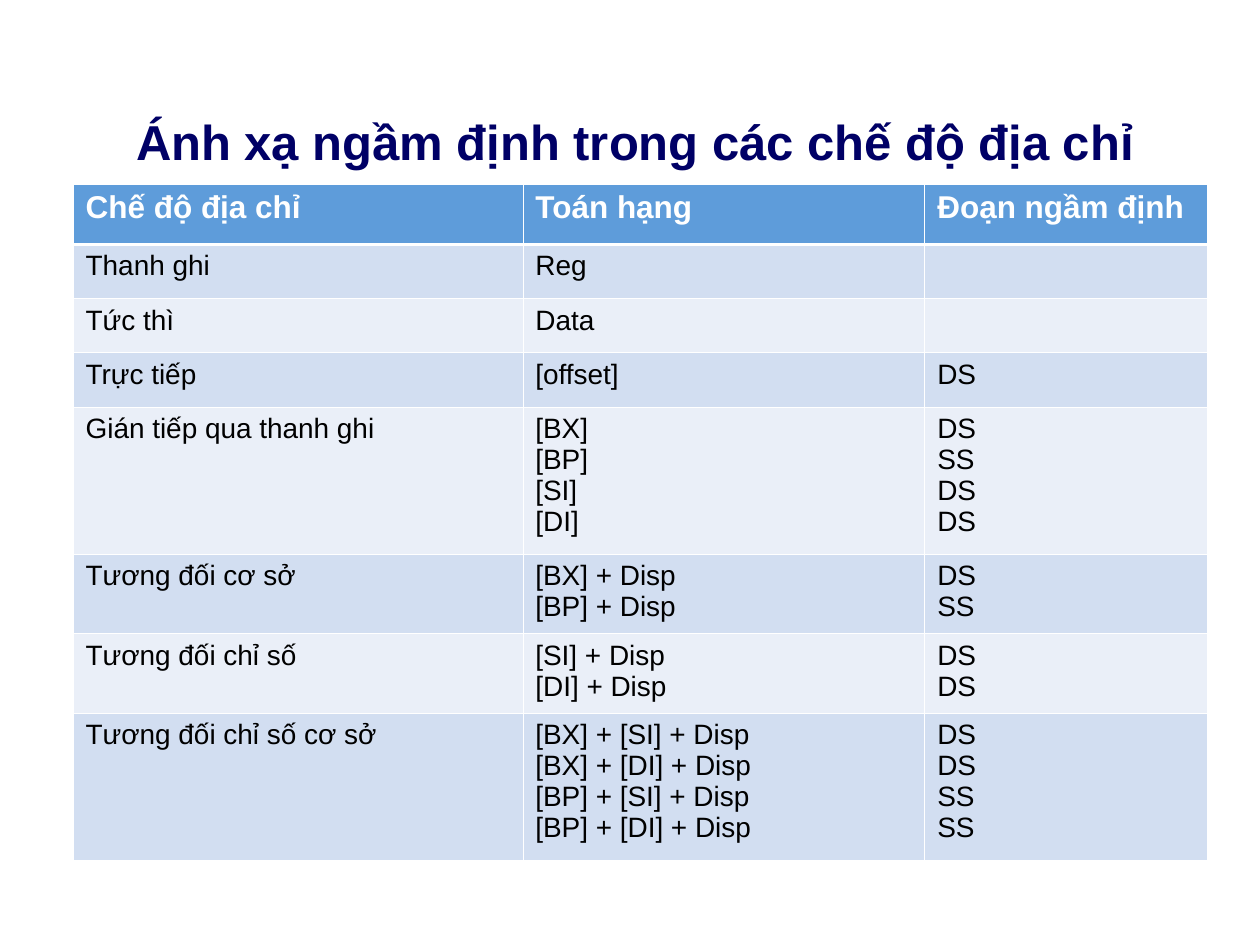
"""Build a slide with a table of default segments by addressing mode."""
import pptx
import pptx.dml.color
import pptx.enum.text
import pptx.oxml.ns
import pptx.util
from lxml import etree

Inches = pptx.util.Inches
COLORS = {
    "title": "000066", "head": "5E9CDA", "odd": "D2DEF1",
    "even": "EAEFF8", "white": "FFFFFF", "black": "000000",
}
COLS = [3.57, 3.19, 2.24]
ROWS = [
    (0.48, "Chế độ địa chỉ", "Toán hạng", "Đoạn ngầm định"),
    (0.43, "Thanh ghi", "Reg", ""),
    (0.43, "Tức thì", "Data", ""),
    (0.43, "Trực tiếp", "[offset]", "DS"),
    (1.17, "Gián tiếp qua thanh ghi", "[BX]\n[BP]\n[SI]\n[DI]", "DS\nSS\nDS\nDS"),
    (0.63, "Tương đối cơ sở", "[BX] + Disp\n[BP] + Disp", "DS\vSS"),
    (0.63, "Tương đối chỉ số", "[SI] + Disp\n[DI] + Disp", "DS\vDS"),
    (1.17, "Tương đối chỉ số cơ sở",
     "[BX] + [SI] + Disp\n[BX] + [DI] + Disp\n"
     "[BP] + [SI] + Disp\n[BP] + [DI] + Disp",
     "DS\vDS\nSS\nSS"),
]


def rgb(name):
    return pptx.dml.color.RGBColor.from_string(COLORS[name])


def put_text(frame, text, size=16, color="black", bold=False, align=None):
    frame.text = text
    for para in frame.paragraphs:
        para.alignment = align
        for run in para.runs:
            font = run.font
            font.name = "Arial"
            font.size = pptx.util.Pt(size)
            font.bold = bold
            font.color.rgb = rgb(color)


def add_edge(cell, side, width):
    qn = pptx.oxml.ns.qn
    props = cell._tc.get_or_add_tcPr()
    line = etree.SubElement(props, qn(f"a:ln{side}"), w=str(pptx.util.Pt(width)))
    fill = etree.SubElement(line, qn("a:solidFill"))
    etree.SubElement(fill, qn("a:srgbClr"), val=COLORS["white"])


def fill_cell(cell, text, row):
    put_text(cell.text_frame, text, **(
        {"size": 18, "color": "white", "bold": True} if row == 0 else {}))
    thick = {(0, "B"), (1, "T")}
    for side in "LRTB":
        add_edge(cell, side, 1.47 if (row, side) in thick else 0.45)
    cell.fill.solid()
    cell.fill.fore_color.rgb = rgb(
        "head" if row == 0 else "odd" if row % 2 else "even")


def add_title(slide, text):
    title = slide.shapes.title
    title.left, title.top = Inches(0.25), Inches(0.83)
    title.width, title.height = Inches(9.58), Inches(0.57)
    frame = title.text_frame
    frame.vertical_anchor = pptx.enum.text.MSO_ANCHOR.MIDDLE
    put_text(frame, text, size=28, color="title", bold=True,
             align=pptx.enum.text.PP_ALIGN.CENTER)


def add_grid(slide):
    high = sum(row[0] for row in ROWS)
    grid = slide.shapes.add_table(
        len(ROWS), len(COLS), Inches(0.58), Inches(1.46),
        Inches(sum(COLS)), Inches(high)).table
    for col, width in zip(grid.columns, COLS):
        col.width = Inches(width)
    for r, (height, *texts) in enumerate(ROWS):
        grid.rows[r].height = Inches(height)
        for c, text in enumerate(texts):
            fill_cell(grid.cell(r, c), text, r)


def main():
    deck = pptx.Presentation()
    deck.slide_width, deck.slide_height = Inches(10), Inches(7.5)
    slide = deck.slides.add_slide(deck.slide_layouts[5])
    add_title(slide, "Ánh xạ ngầm định trong các chế độ địa chỉ")
    add_grid(slide)
    deck.save("out.pptx")


if __name__ == "__main__":
    main()
